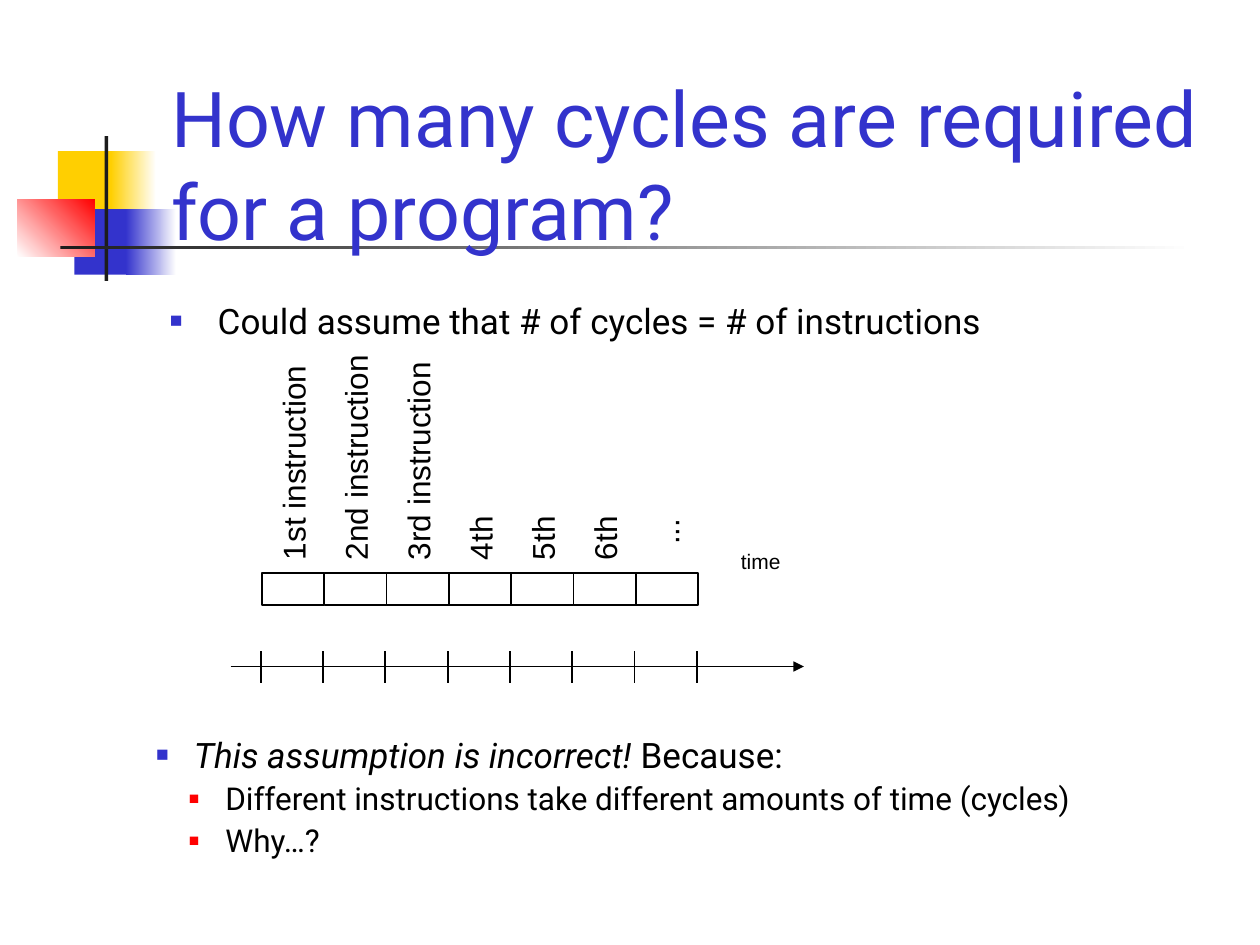
"""Build a slide on counting the cycles a program needs."""
from dataclasses import dataclass
from typing import Optional

from lxml.etree import SubElement
from pptx import Presentation
from pptx.dml.color import RGBColor
from pptx.enum.shapes import MSO_CONNECTOR as Connector, MSO_SHAPE as Shape
from pptx.enum.text import MSO_ANCHOR as Anchor
from pptx.oxml.ns import qn
from pptx.util import Inches, Pt

BLACK, WHITE, BLUE, RED, YELLOW, DARK = "000000", "FFFFFF", "3333CC", "FF0000", "FFCF01", "1C1C1C"
SLOT_COUNT = 7
SLOT = 3.46 / SLOT_COUNT
AXIS_LEFT, AXIS_Y = 2.07, 5.29


@dataclass
class Block:
    left: float
    top: float
    width: float
    height: float
    color: str
    end_color: Optional[str] = None
    angle: float = 0
    line: Optional[str] = None


@dataclass
class Bullet:
    color: str
    percent: int
    margin: float
    hang: float


@dataclass
class Label:
    text: str
    length: float = 0.67
    bottom: float = 4.46


DECORATION = [
    Block(0.46, 1.2, 0.48, 0.52, YELLOW),
    Block(0.88, 1.2, 0.36, 0.52, YELLOW, WHITE),
    Block(0.59, 1.66, 0.46, 0.52, BLUE),
    Block(1, 1.66, 0.4, 0.52, BLUE, WHITE),
    Block(0.14, 1.58, 0.61, 0.46, WHITE, RED, 45),
    Block(0.83, 1.08, 0.03, 1.15, DARK),
    Block(0.48, 1.95, 9, 0.03, DARK, WHITE),
]
LABELS = [
    Label("1st instruction", 1.8), Label("2nd instruction", 1.8), Label("3rd instruction", 1.8),
    Label("4th"), Label("5th"), Label("6th"), Label("...", bottom=4.34),
]


def rgb(color: str) -> RGBColor:
    """Turn a hex string into a colour."""
    return RGBColor.from_string(color)


def draw_block(page, block: Block) -> None:
    """Draw a plain or gradient rectangle."""
    shape = page.shapes.add_shape(Shape.RECTANGLE, Inches(block.left), Inches(block.top),
                                  Inches(block.width), Inches(block.height))
    shape.shadow.inherit = False
    if block.end_color:
        shape.fill.gradient()
        shape.fill.gradient_angle = block.angle
        for stop, color, position in zip(shape.fill.gradient_stops,
                                         (block.color, block.end_color), (0, 1)):
            stop.color.rgb = rgb(color)
            stop.position = position
    else:
        shape.fill.solid()
        shape.fill.fore_color.rgb = rgb(block.color)
    if block.line:
        shape.line.color.rgb = rgb(block.line)
        shape.line.width = Pt(1)
    else:
        shape.line.fill.background()


def draw_line(page, start: tuple, end: tuple, arrow: bool = False) -> None:
    """Draw a thin black line, with an arrowhead at its end on request."""
    line = page.shapes.add_connector(Connector.STRAIGHT, *map(Inches, start + end))
    line.line.color.rgb = rgb(BLACK)
    line.line.width = Pt(1)
    if arrow:
        SubElement(line.line._get_or_add_ln(), qn("a:tailEnd"), type="triangle")
    SubElement(line._element.spPr, qn("a:effectLst"))


def add_box(page, left: float, top: float, width: float, height: float,
            inset: tuple = (0.1, 0.05)):
    """Add a wrapping text box with equal opposite insets."""
    box = page.shapes.add_textbox(*map(Inches, (left, top, width, height)))
    frame = box.text_frame
    frame.word_wrap = True
    frame.margin_left = frame.margin_right = Inches(inset[0])
    frame.margin_top = frame.margin_bottom = Inches(inset[1])
    return box


def style(para, font: str, size: float, color: str = BLACK) -> None:
    """Format every run of a paragraph."""
    for span in para.runs:
        span.font.name = font
        span.font.size = Pt(size)
        span.font.color.rgb = rgb(color)


def set_bullet(para, bullet: Bullet) -> None:
    """Give a paragraph a coloured square bullet and a hanging indent."""
    props = para._p.get_or_add_pPr()
    props.set("marL", str(Inches(bullet.margin)))
    props.set("indent", str(-Inches(bullet.hang)))
    SubElement(SubElement(props, qn("a:buClr")), qn("a:srgbClr"), val=bullet.color)
    SubElement(props, qn("a:buSzPct"), val=str(bullet.percent * 1000))
    SubElement(props, qn("a:buFont"), typeface="Arial")
    SubElement(props, qn("a:buChar"), char="■")


def draw_small_text(page, text: str, place: tuple, size: float, spacing: float,
                    rotation: float = 0) -> None:
    """Draw a diagram caption."""
    box = add_box(page, *place, inset=(0.02, 0.03))
    box.rotation = rotation
    para = box.text_frame.paragraphs[0]
    para.text = text
    para.line_spacing = Pt(spacing)
    style(para, "Arial", size)


def draw_timeline(page) -> None:
    """Draw the time axis, the instruction slots and their labels."""
    draw_small_text(page, "time", (5.86, 4.33, 0.77, 0.33), 12, 14)
    draw_line(page, (1.83, AXIS_Y), (6.38, AXIS_Y), arrow=True)
    for index in range(SLOT_COUNT + 1):
        x = AXIS_LEFT + index * SLOT
        draw_line(page, (x, 5.42), (x, 5.17))
    for index, label in enumerate(LABELS):
        left = AXIS_LEFT + index * SLOT
        draw_block(page, Block(left + 0.01, 4.55, SLOT, 0.25, WHITE, line=BLACK))
        center_x, center_y = left + 0.3, label.bottom - label.length / 2
        place = (center_x - label.length / 2, center_y - 0.21, label.length, 0.43)
        draw_small_text(page, label.text, place, 18, 21, rotation=270)


def draw_title(page) -> None:
    """Draw the slide title."""
    frame = add_box(page, 1.26, 0.67, 8.52, 1.25).text_frame
    frame.vertical_anchor = Anchor.MIDDLE
    frame.text = "How many cycles are required for a program?"
    style(frame.paragraphs[0], "Roboto", 44, BLUE)


def draw_assumption(page) -> None:
    """Draw the opening bullet."""
    para = add_box(page, 1.25, 2.33, 8.5, 4.5).text_frame.paragraphs[0]
    para.text = "Could assume that # of cycles = # of instructions"
    para.space_before = Pt(5)
    style(para, "Roboto", 20)
    set_bullet(para, Bullet(BLUE, 60, 0.38, 0.38))


def draw_conclusion(page) -> None:
    """Draw the closing bullet and its two reasons."""
    frame = add_box(page, 1.14, 5.64, 7.94, 1.23).text_frame
    frame.text = ("This assumption is incorrect!\n"
                  "Different instructions take different amounts of time (cycles)\nWhy…?")
    heading, *reasons = frame.paragraphs
    heading.runs[0].font.italic = True
    heading.add_run().text = " Because:"
    heading.line_spacing, heading.space_before = 1.4, Pt(5)
    style(heading, "Roboto", 20)
    set_bullet(heading, Bullet(BLUE, 60, 0.3, 0.3))
    for para in reasons:
        para.level = 1
        para.line_spacing, para.space_before = 0.9, Pt(4.5)
        style(para, "Roboto", 18)
        set_bullet(para, Bullet(RED, 55, 0.55, 0.29))


def main() -> None:
    """Build and save the deck."""
    deck = Presentation()
    deck.slide_width, deck.slide_height = Inches(10), Inches(7.5)
    page = deck.slides.add_slide(deck.slide_layouts[6])
    for block in DECORATION:
        draw_block(page, block)
    draw_assumption(page)
    draw_timeline(page)
    draw_title(page)
    draw_conclusion(page)
    deck.save("out.pptx")


if __name__ == "__main__":
    main()
